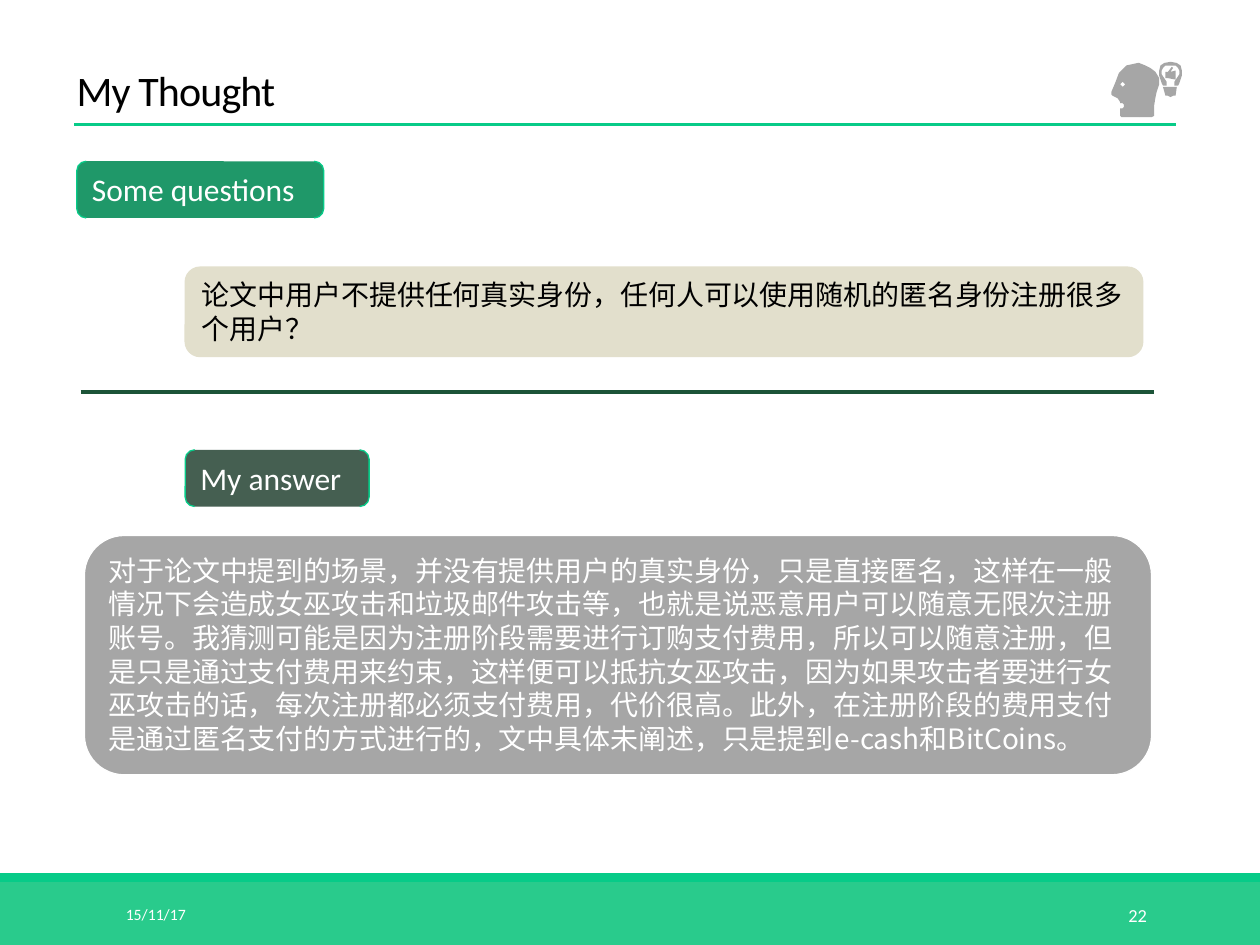
from typing import NamedTuple

from pptx import Presentation, util as u
from pptx.dml.color import RGBColor
from pptx.enum import shapes as es, text as et
from pptx.oxml.ns import qn
from lxml import etree

LATIN, HAN = "Calibri", "Noto Sans CJK SC"
GREEN, WHITE, GRAY = "07CB88", "FFFFFF", "A6A6A6"
KIND = es.MSO_SHAPE


class Box(NamedTuple):
    x: float
    y: float
    w: float
    h: float


class Card(NamedTuple):
    kind: int
    box: Box
    fill: str
    edge: str
    words: str
    size: float
    font: str
    ink: str


class Rule(NamedTuple):
    x1: float
    x2: float
    y: float
    ink: str
    width: float


CARDS = [
    Card(KIND.DOUBLE_BRACKET, Box(0.61, 1.28, 1.96, 0.45), "1F9869", GREEN,
         "Some questions", 18, LATIN, WHITE),
    Card(KIND.ROUNDED_RECTANGLE, Box(0.67, 4.25, 8.47, 1.9), GRAY, WHITE,
         "对于论文中提到的场景，并没有提供用户的真实身份，只是直接匿名，"
         "这样在一般情况下会造成女巫攻击和垃圾邮件攻击等，也就是说恶意用户可以随意无限次注册账号。"
         "我猜测可能是因为注册阶段需要进行订购支付费用，所以可以随意注册，"
         "但是只是通过支付费用来约束，这样便可以抵抗女巫攻击，"
         "因为如果攻击者要进行女巫攻击的话，每次注册都必须支付费用，代价很高。"
         "此外，在注册阶段的费用支付是通过匿名支付的方式进行的，文中具体未阐述，"
         "只是提到e-cash和BitCoins。", 16, HAN, WHITE),
    Card(KIND.ROUNDED_RECTANGLE, Box(1.47, 2.12, 7.6, 0.71), "E2DFCC", "E2DFCC",
         "论文中用户不提供任何真实身份，任何人可以使用随机的匿名身份注册很多个用户？",
         16, HAN, "000000"),
    Card(KIND.DOUBLE_BRACKET, Box(1.47, 3.57, 1.46, 0.45), "455F51", GREEN,
         "My answer", 18, LATIN, WHITE),
]
RULES = [Rule(0.59, 9.33, 0.99, GREEN, 1.5), Rule(0.64, 9.16, 3.11, "1C5438", 2.25)]

# Icon outlines, in hundredths of an inch
BACK = [(920, 62), (917, 57), (913, 54), (909, 51.5), (904, 50), (904, 93), (914, 93),
        (916, 92.5), (916, 84), (916.7, 78), (918.4, 73), (919.8, 67)]
FACE = [(903, 50), (894, 52.3), (888.4, 58), (885, 66), (882, 73), (882, 75), (883, 76),
        (887, 78), (889, 81), (889, 82), (891, 82), (892, 83), (892, 85), (891, 86),
        (889, 86), (889, 92), (890, 93), (904, 93), (904, 50)]
EYE = [(889, 67), (889.6, 65.5), (891, 64.8), (892.4, 65.5), (893, 67),
       (892.4, 68.5), (891, 69.2), (889.6, 68.5)]
BASE = [(923, 69), (934, 69), (933, 76), (931, 76), (929, 77), (927, 76), (925, 76)]
THUMB = [(933, 56), (933, 63), (932, 63), (927, 62), (925, 62), (925, 57), (927, 57),
         (930, 53), (931.3, 54.5), (929, 57)]
BULB = [(923, 68), (926, 68), (925.5, 65), (924, 62), (922.5, 59), (922, 56), (923.2, 54),
        (925, 52), (929, 51.5), (933, 52), (935, 54), (936, 56), (935.5, 59), (934, 62),
        (932.5, 65), (932, 68), (935, 68), (935.6, 65.5), (937, 63), (938.3, 59.5),
        (938, 56), (936.8, 52.5), (934, 50), (929, 49), (924, 50), (921.2, 52.5),
        (920, 56), (919.7, 59.5), (921, 63), (922.4, 65.5)]
ICON = [[BACK], [FACE, EYE], [BASE, THUMB, BULB]]


def color(code: str) -> RGBColor:
    return RGBColor.from_string(code)


def place(box: Box) -> list[u.Length]:
    return [u.Inches(v) for v in box]


def paint(shape, fill: str, edge: str | None = None) -> None:
    shape.shadow.inherit = False
    shape.fill.solid()
    shape.fill.fore_color.rgb = color(fill)
    if edge:
        shape.line.color.rgb = color(edge)
        shape.line.width = u.Pt(0.75)
    else:
        shape.line.fill.background()


def write(shape, words: str, *, size: float, ink: str = WHITE, font: str = LATIN,
          align=et.PP_ALIGN.LEFT, anchor=et.MSO_ANCHOR.TOP, grow: bool = False,
          lead: float | None = None, track: float | None = None) -> None:
    frame = shape.text_frame
    frame.word_wrap = True
    frame.vertical_anchor = anchor
    if grow:
        frame.auto_size = et.MSO_AUTO_SIZE.SHAPE_TO_FIT_TEXT
    para = frame.paragraphs[0]
    para.alignment = align
    if lead:
        para.line_spacing = lead
    run = para.add_run()
    run.text = words
    run.font.size = u.Pt(size)
    run.font.color.rgb = color(ink)
    run.font.name = font
    props = run.font._element
    etree.SubElement(props, qn("a:ea")).set("typeface", font)
    if track:
        props.set("spc", str(round(track * 100)))


def add_text(slide, box: Box, words: str, **style) -> None:
    write(slide.shapes.add_textbox(*place(box)), words, **style)


def add_bar(slide, box: Box, fill: str) -> None:
    paint(slide.shapes.add_shape(KIND.RECTANGLE, *place(box)), fill)


def add_card(slide, card: Card) -> None:
    shape = slide.shapes.add_shape(card.kind, *place(card.box))
    paint(shape, card.fill, card.edge)
    write(shape, card.words, size=card.size, ink=card.ink, font=card.font, grow=True)


def add_rule(slide, rule: Rule) -> None:
    y = u.Inches(rule.y)
    line = slide.shapes.add_connector(es.MSO_CONNECTOR.STRAIGHT,
                                      u.Inches(rule.x1), y, u.Inches(rule.x2), y)
    line.line.color.rgb = color(rule.ink)
    line.line.width = u.Pt(rule.width)
    etree.SubElement(line._element.spPr, qn("a:effectLst"))


def add_icon(slide) -> None:
    group = slide.shapes.add_group_shape()
    for loops in ICON:
        pen = group.shapes.build_freeform(*loops[0][0], scale=u.Inches(0.01))
        for i, loop in enumerate(loops):
            if i:
                pen.move_to(*loop[0])
            pen.add_line_segments(loop[1:], close=True)
        paint(pen.convert_to_shape(), GRAY)


def main() -> None:
    deck = Presentation()
    deck.slide_width, deck.slide_height = u.Inches(10), u.Inches(7.5)
    slide = deck.slides.add_slide(deck.slide_layouts[6])
    middle = et.MSO_ANCHOR.MIDDLE

    add_bar(slide, Box(0, 7, 10, 0.5), "29CB8C")
    add_bar(slide, Box(0, 6.93, 10, 0.07), GREEN)
    add_text(slide, Box(0.9, 7.06, 2.03, 0.4), "15/11/17", size=9, anchor=middle)
    add_text(slide, Box(8.12, 7.06, 1.08, 0.4), "22", size=10.5, anchor=middle,
             align=et.PP_ALIGN.RIGHT)
    add_text(slide, Box(0.51, 0.36, 7.5, 0.6), "My Thought", size=24, ink="000000",
             anchor=et.MSO_ANCHOR.BOTTOM, lead=0.85, track=-0.5)
    for rule in RULES:
        add_rule(slide, rule)
    for card in CARDS:
        add_card(slide, card)
    add_icon(slide)
    deck.save("out.pptx")


if __name__ == "__main__":
    main()
